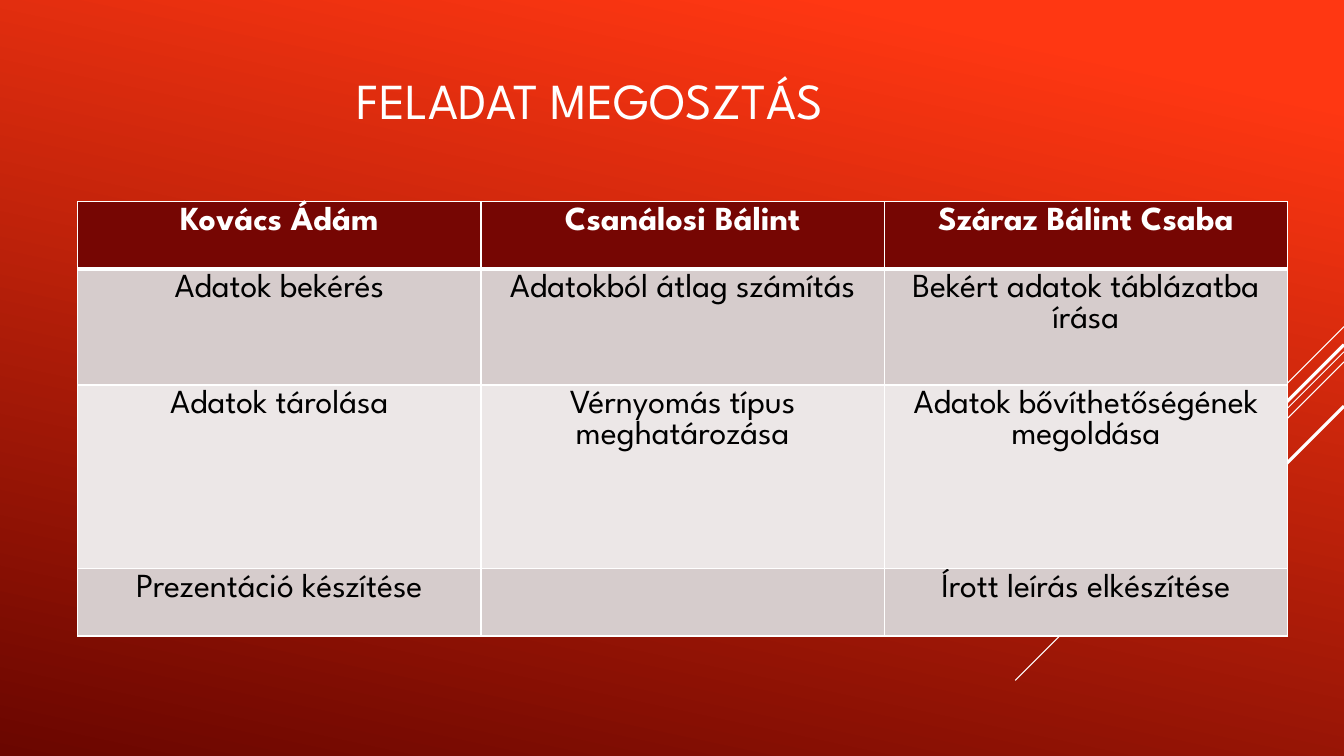
from lxml.etree import SubElement
from pptx import Presentation
from pptx.dml.color import RGBColor
from pptx.enum.shapes import MSO_CONNECTOR as CONN
from pptx.enum.text import MSO_ANCHOR as ANCHOR, PP_ALIGN as ALIGN
from pptx.oxml import parse_xml
from pptx.oxml.ns import nsdecls, qn
from pptx.util import Inches, Pt

WHITE = RGBColor(0xFF, 0xFF, 0xFF)
BLACK = RGBColor(0x00, 0x00, 0x00)
BRIGHT = RGBColor(0xFF, 0x37, 0x12)
DEEP = RGBColor(0x6A, 0x06, 0x00)
HEAD = RGBColor(0x76, 0x06, 0x03)
BAND = RGBColor(0xD6, 0xCC, 0xCC)
LIGHT = RGBColor(0xEC, 0xE7, 0xE7)
FONT = "League Spartan"
W, H = 13.33, 7.5


def add_text(p, text, **fmt):
    r = p.add_run()
    r.text = text
    r.font.name = FONT
    r.font.color.rgb = fmt.pop("color")
    for name, value in fmt.items():
        setattr(r.font, name, value)


def add_border(tc_pr, index, side, width):
    tc_pr.insert(index, parse_xml(
        f'<a:ln{side} {nsdecls("a")} w="{Pt(width)}"><a:solidFill>'
        f'<a:srgbClr val="{WHITE}"/></a:solidFill></a:ln{side}>'))


prs = Presentation()
prs.slide_width, prs.slide_height = Inches(W), Inches(H)
s = prs.slides.add_slide(prs.slide_layouts[6])

# Background gradient
fill = s.background.fill
fill.gradient()
fill.gradient_angle = 360 - 102
for stop, (pos, color) in zip(fill.gradient_stops, [(0.1, BRIGHT), (1, DEEP)]):
    stop.position = pos
    stop.color.rgb = color

# Diagonal lines from the right edge: start height, run, width
for top, run, width in [(3.24, 1, 0.75), (3.49, 3.26, 0.75), (3.59, 2.07, 0.75),
                        (3.42, 1.91, 2.25), (4.03, 1.39, 2.25)]:
    line = s.shapes.add_connector(CONN.STRAIGHT, Inches(W), Inches(top),
                                  Inches(W - run), Inches(top + run))
    line.line.color.rgb = WHITE
    line.line.width = Pt(width)
    SubElement(line._element.spPr, qn("a:effectLst"))

# Title
title = s.shapes.add_textbox(Inches(3.44), Inches(0.16), Inches(0.7 * W), Inches(0.22 * H))
tf = title.text_frame
tf.word_wrap = True
tf.vertical_anchor = ANCHOR.MIDDLE
add_text(tf.paragraphs[0], "FELADAT MEGOSZTÁS", size=Pt(36), color=WHITE)

# Task table: row height, fill, texts
ROWS = [
    (0.67, HEAD, ["Kovács Ádám", "Csanálosi Bálint", "Száraz Bálint Csaba"]),
    (1.15, BAND, ["Adatok bekérés", "Adatokból átlag számítás",
                  "Bekért adatok táblázatba írása"]),
    (1.82, LIGHT, ["Adatok tárolása", "Vérnyomás típus meghatározása",
                   "Adatok bővíthetőségének megoldása"]),
    (0.67, BAND, ["Prezentáció készítése", "", "Írott leírás elkészítése"]),
]
COLS = 3
height = sum(row[0] for row in ROWS)
table = s.shapes.add_table(len(ROWS), COLS, Inches(0.77), Inches(2),
                           Inches(4 * COLS), Inches(height)).table
for i, (row_height, color, texts) in enumerate(ROWS):
    table.rows[i].height = Inches(row_height)
    for j, text in enumerate(texts):
        cell = table.cell(i, j)
        cell.fill.solid()
        cell.fill.fore_color.rgb = color
        p = cell.text_frame.paragraphs[0]
        p.alignment = ALIGN.CENTER
        if text:
            add_text(p, text, size=Pt(24), bold=i == 0,
                     color=WHITE if i == 0 else BLACK)
        # The rule under the header row is heavier
        widths = {"L": 1, "R": 1, "T": 3 if i == 1 else 1, "B": 3 if i == 0 else 1}
        for k, (side, width) in enumerate(widths.items()):
            add_border(cell._tc.get_or_add_tcPr(), k, side, width)

prs.save("out.pptx")
